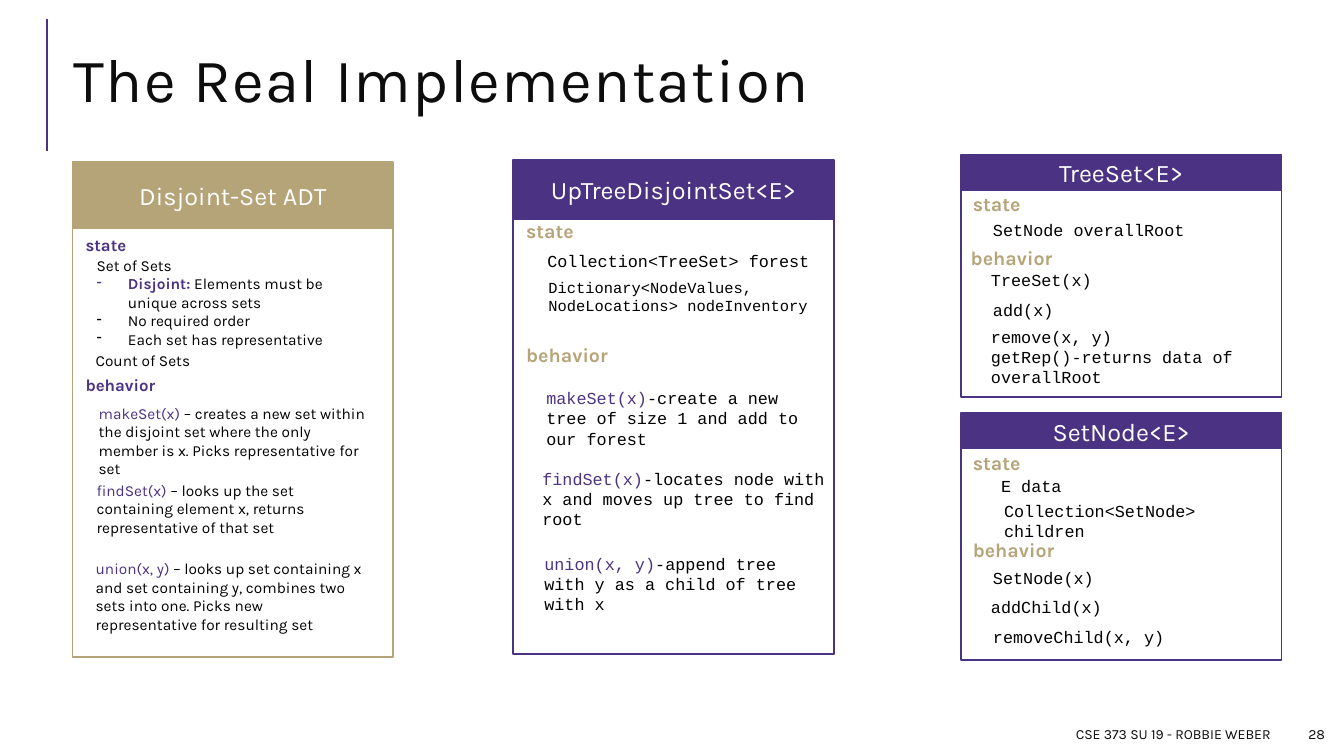
from dataclasses import dataclass

from lxml import etree
from pptx import Presentation
from pptx.dml.color import RGBColor
from pptx.enum.shapes import MSO_CONNECTOR, MSO_SHAPE
from pptx.enum.text import MSO_ANCHOR, MSO_AUTO_SIZE, PP_ALIGN
from pptx.oxml.ns import qn
from pptx.shapes.autoshape import Shape
from pptx.shapes.shapetree import _BaseGroupShapes
from pptx.slide import Slide
from pptx.text.text import TextFrame
from pptx.util import Emu, Pt

PX = 9144
INDENT = 31

PURPLE = RGBColor(0x4C, 0x32, 0x82)
GOLD = RGBColor(0xB6, 0xA4, 0x79)
INK = RGBColor(0x0D, 0x0D, 0x0D)
BLACK = RGBColor(0, 0, 0)
WHITE = RGBColor(0xFF, 0xFF, 0xFF)

RECT = MSO_SHAPE.RECTANGLE
STRAIGHT = MSO_CONNECTOR.STRAIGHT
TOP = MSO_ANCHOR.TOP
MIDDLE = MSO_ANCHOR.MIDDLE
FIT = MSO_AUTO_SIZE.SHAPE_TO_FIT_TEXT
FIXED = MSO_AUTO_SIZE.NONE
LEFT = PP_ALIGN.LEFT
CENTER = PP_ALIGN.CENTER
RIGHT = PP_ALIGN.RIGHT


@dataclass(frozen=True)
class Style:
    font: str
    size: int
    color: RGBColor
    bold: bool = False
    track: int = 0


@dataclass(frozen=True)
class Run:
    text: str
    style: Style


@dataclass(frozen=True)
class Line:
    runs: tuple[Run, ...]
    dash: bool = False
    align: PP_ALIGN = LEFT
    space: float = 1.0


@dataclass(frozen=True)
class Note:
    left: int
    top: int
    width: int
    height: int
    lines: tuple[Line, ...]
    anchor: MSO_ANCHOR = TOP
    fit: MSO_AUTO_SIZE = FIT


@dataclass(frozen=True)
class Card:
    left: int
    top: int
    head: int
    body: int
    title: str
    color: RGBColor
    notes: tuple[Note, ...]


WIDTH = 318
TITLE = Style("Karla", 44, INK, track=100)
FOOT = Style("Karla", 10, INK)
HEAD = Style("Karla", 18, WHITE)
LABEL = Style("Karla", 14, GOLD, True)
TOPIC = Style("Karla", 12, PURPLE, True)
PLAIN = Style("Karla", 11, BLACK)
TERM = Style("Karla", 11, PURPLE)
STRONG = Style("Karla", 11, PURPLE, True)
CODE = Style("Courier New", 12, BLACK)
SMALL = Style("Courier New", 11, BLACK)
CALL = Style("Courier New", 12, PURPLE)


def line(text: str, style: Style) -> Line:
    return Line((Run(text, style),))


def note(left: int, top: int, width: int, height: int, text: str, style: Style) -> Note:
    return Note(left, top, width, height, (line(text, style),))


def pair(left: int, top: int, width: int, height: int,
         name: str, text: str, first: Style, rest: Style) -> Note:
    runs = (Run(name, first), Run(text, rest))
    return Note(left, top, width, height, (Line(runs),))


SETS = (
    line("Set of Sets", PLAIN),
    Line((Run("Disjoint:", STRONG), Run(" Elements must be unique across sets", PLAIN)), True),
    Line((Run("No required order", PLAIN),), True),
    Line((Run("Each set has representative", PLAIN),), True),
)

CARDS = (
    Card(509, 159, 58, 432, "UpTreeDisjointSet<E>", PURPLE, (
        pair(532, 380, 279, 71, "makeSet(x)",
             "-create a new tree of size 1 and add to our forest", CALL, CODE),
        note(512, 212, 223, 34, "state", LABEL),
        note(512, 335, 223, 34, "behavior", LABEL),
        note(533, 244, 285, 30, "Collection<TreeSet> forest", CODE),
        pair(528, 460, 305, 71, "findSet(x)",
             "-locates node with x and moves up tree to find root", CALL, CODE),
        pair(530, 544, 295, 71, "union(x, y)",
             "-append tree with y as a child of tree with x", CALL, CODE),
        note(534, 271, 278, 47, "Dictionary<NodeValues, NodeLocations> nodeInventory", SMALL),
    )),
    Card(72, 161, 65, 426, "Disjoint-Set ADT", GOLD, (
        pair(88, 396, 285, 66, "makeSet(x) ",
             "– creates a new set within the disjoint set where the only member is x. "
             "Picks representative for set", TERM, PLAIN),
        note(85, 343, 253, 29, "Count of Sets", PLAIN),
        note(75, 228, 253, 30, "state", TOPIC),
        note(75, 367, 253, 30, "behavior", TOPIC),
        Note(86, 249, 289, 103, SETS),
        pair(86, 472, 278, 66, "findSet(x) ",
             "– looks up the set containing element x, returns representative of that set",
             TERM, PLAIN),
        pair(85, 550, 289, 84, "union(x, y) ",
             "– looks up set containing x and set containing y, combines two sets into one. "
             "Picks new representative for resulting set", TERM, PLAIN),
    )),
    Card(953, 154, 35, 205, "TreeSet<E>", PURPLE, (
        note(973, 263, 279, 30, "TreeSet(x)", CODE),
        note(955, 186, 223, 20, "state", LABEL),
        note(953, 239, 223, 34, "behavior", LABEL),
        note(975, 213, 258, 18, "SetNode overallRoot", CODE),
        note(975, 292, 305, 30, "add(x)", CODE),
        Note(973, 319, 295, 71, (line("remove(x, y)", CODE),
                                 line("getRep()-returns data of overallRoot", CODE))),
    )),
    Card(953, 410, 35, 210, "SetNode<E>", PURPLE, (
        note(975, 558, 279, 30, "SetNode(x)", CODE),
        note(955, 442, 223, 20, "state", LABEL),
        note(955, 529, 223, 34, "behavior", LABEL),
        note(983, 467, 258, 30, "E data", CODE),
        note(973, 587, 305, 30, "addChild(x)", CODE),
        note(975, 617, 295, 30, "removeChild(x, y)", CODE),
        note(986, 492, 258, 50, "Collection<SetNode> children", CODE),
    )),
)

FRAME = (
    Note(63, 29, 1223, 111, (Line((Run("The Real Implementation", TITLE),), space=0.8),),
         MIDDLE, FIXED),
    Note(625, 713, 645, 30, (Line((Run("CSE 373 SU 19 - ROBBIE WEBER", FOOT),), align=RIGHT),),
         MIDDLE, FIXED),
    Note(1278, 713, 46, 30, (Line((Run("28", FOOT),), align=RIGHT),), MIDDLE, FIXED),
)


def px(*sizes: int) -> list[Emu]:
    return [Emu(size * PX) for size in sizes]


def write(frame: TextFrame, lines: tuple[Line, ...]) -> None:
    for index, row in enumerate(lines):
        para = frame.add_paragraph() if index else frame.paragraphs[0]
        para.alignment = row.align
        para.line_spacing = row.space
        if row.dash:
            props = para._p.get_or_add_pPr()
            props.set("marL", str(INDENT * PX))
            props.set("indent", str(-INDENT * PX))
            etree.SubElement(props, qn("a:buChar"), char="-")
        for part in row.runs:
            run = para.add_run()
            run.text = part.text
            font = run.font
            font.name = part.style.font
            font.size = Pt(part.style.size)
            font.bold = part.style.bold
            font.color.rgb = part.style.color
            if part.style.track:
                run._r.get_or_add_rPr().set("spc", str(part.style.track))


def draw_note(shapes: _BaseGroupShapes, item: Note) -> None:
    box = shapes.add_textbox(*px(item.left, item.top, item.width, item.height))
    frame = box.text_frame
    frame.word_wrap = True
    frame.auto_size = item.fit
    frame.vertical_anchor = item.anchor
    write(frame, item.lines)


def draw_rect(shapes: _BaseGroupShapes, card: Card, top: int, height: int) -> Shape:
    rect = shapes.add_shape(RECT, *px(card.left, top, WIDTH, height))
    rect.shadow.inherit = False
    rect.fill.background()
    rect.line.color.rgb = card.color
    rect.line.width = Pt(1.25)
    return rect


def draw_card(slide: Slide, card: Card) -> None:
    shapes = slide.shapes.add_group_shape().shapes
    draw_rect(shapes, card, card.top + card.head, card.body)
    head = draw_rect(shapes, card, card.top, card.head)
    head.fill.solid()
    head.fill.fore_color.rgb = card.color
    head.text_frame.vertical_anchor = MIDDLE
    write(head.text_frame, (Line((Run(card.title, HEAD),), align=CENTER),))
    for item in card.notes:
        draw_note(shapes, item)


def draw_rule(slide: Slide) -> None:
    rule = slide.shapes.add_connector(STRAIGHT, *px(47, 150, 47, 19))
    rule.line.color.rgb = PURPLE
    rule.line.width = Pt(1.5)
    etree.SubElement(rule._element.spPr, qn("a:effectLst"))


def main() -> None:
    deck = Presentation()
    deck.slide_width, deck.slide_height = px(1333, 750)
    slide = deck.slides.add_slide(deck.slide_layouts[6])
    draw_rule(slide)
    for item in FRAME:
        draw_note(slide.shapes, item)
    for card in CARDS:
        draw_card(slide, card)
    deck.save("out.pptx")


if __name__ == "__main__":
    main()
